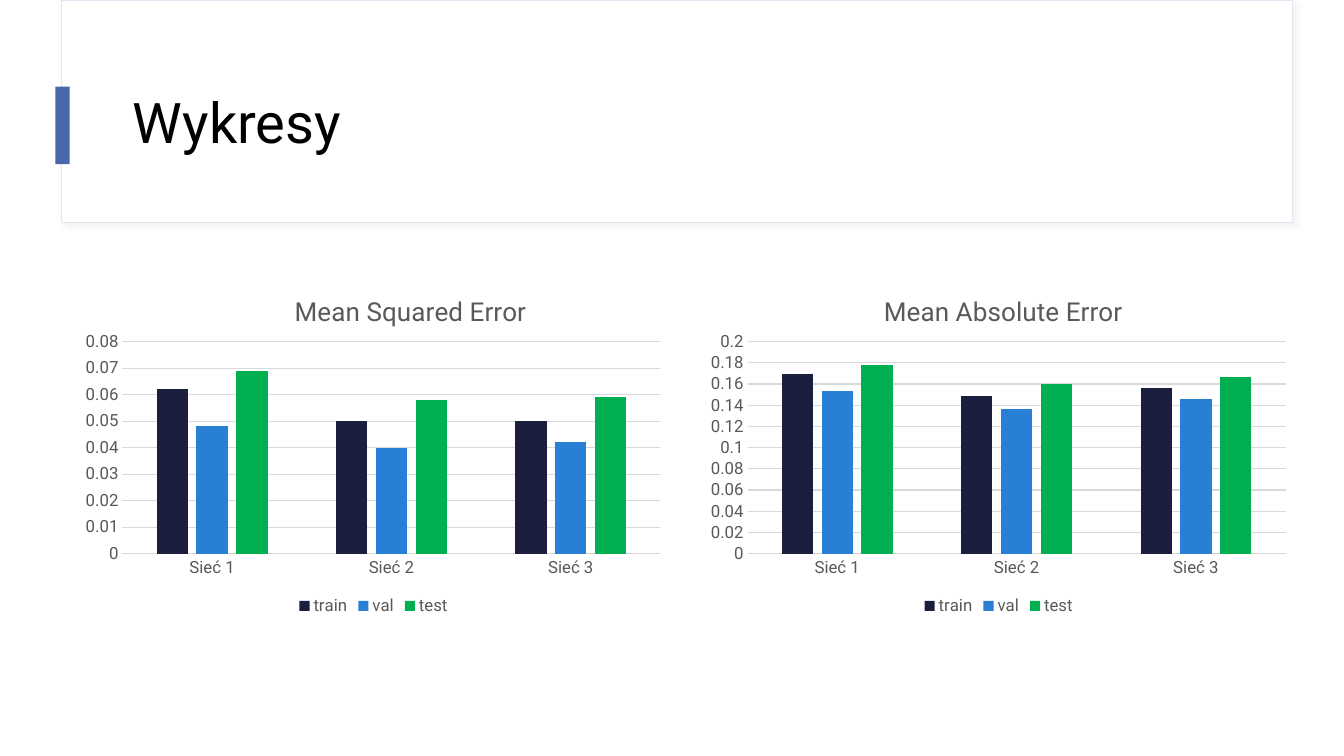
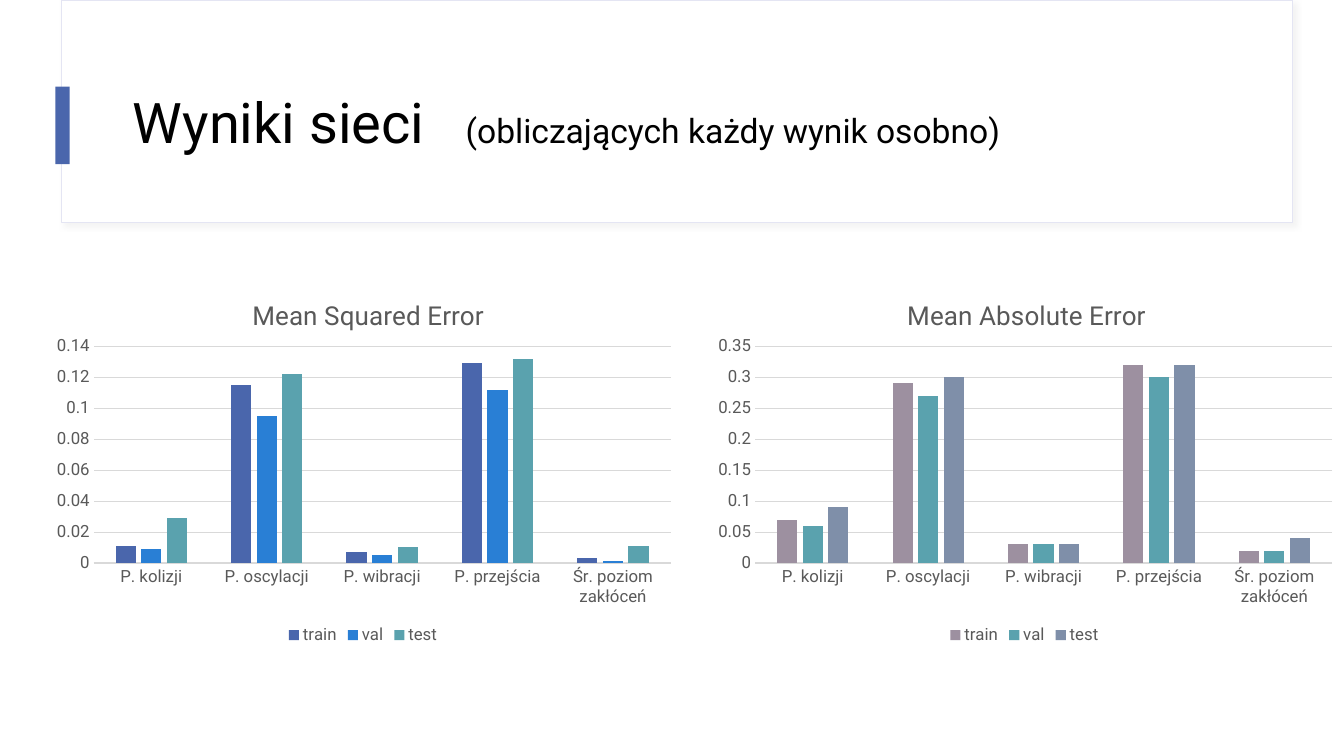
"""Build two slides comparing neural network errors in paired column charts."""
from dataclasses import dataclass

import lxml.etree
import pptx
import pptx.chart.data
import pptx.dml.color
import pptx.enum.chart
import pptx.enum.shapes
import pptx.enum.text
import pptx.oxml
import pptx.oxml.ns
import pptx.util

Inches, Pt = pptx.util.Inches, pptx.util.Pt
qn = pptx.oxml.ns.qn


@dataclass(frozen=True)
class Theme:
    font: str = "Roboto"
    title_size: int = 40
    subtitle_size: int = 24
    chart_title_size: float = 18.6
    label_size: int = 12
    hairline: float = 0.75
    black: str = "000000"
    white: str = "FFFFFF"
    grey: str = "595959"
    grid: str = "D9D9D9"
    frame: str = "E4E5F3"
    indigo: str = "4A66AC"
    navy: str = "1B1E3E"
    blue: str = "297FD5"
    green: str = "00B050"
    teal: str = "5AA2AE"
    mauve: str = "9D90A0"
    slate: str = "7F8FA9"


T = Theme()
WIDTH, HEIGHT = 13.33, 7.5
FRAME = (0.61, 0, 12.21, 2.21)
ACCENT = (0.55, 0.86, 0.14, 0.77)
TITLE = (1.22, 0.6, 11.12, 1.29)
SUBTITLE_TAB = 3.3
SERIES = ("train", "val", "test")
NETWORKS = ("Sieć 1", "Sieć 2", "Sieć 3")
MEASURES = ("P. kolizji", "P. oscylacji", "P. wibracji", "P. przejścia", "Śr. poziom zakłóceń")

SLIDES = [
    {
        "title": "Wykresy",
        "subtitle": "",
        "categories": NETWORKS,
        "left": 0.74, "step": 6.2, "top": 2.7, "size": (5.93, 3.45),
        "plot": (0.08, 0.2, 0.9, 0.61),
        "charts": [
            {
                "title": "Mean Squared Error", "title_at": (0.36, 0.05),
                "axis": (0.08, 0.01),
                "colors": (T.navy, T.blue, T.green),
                "values": [(0.062, 0.05, 0.05), (0.048, 0.04, 0.042), (0.069, 0.058, 0.059)],
            },
            {
                "title": "Mean Absolute Error", "title_at": (0.3, 0.05),
                "axis": (0.2, 0.02),
                "colors": (T.navy, T.blue, T.green),
                "values": [(0.169, 0.149, 0.156), (0.153, 0.136, 0.146), (0.178, 0.16, 0.167)],
            },
        ],
    },
    {
        "title": "Wyniki sieci",
        "subtitle": "(obliczających każdy wynik osobno)",
        "categories": MEASURES,
        "left": 0.42, "step": 6.56, "top": 2.73, "size": (6.36, 3.71),
        "plot": (0.08, 0.19, 0.9, 0.58),
        "charts": [
            {
                "title": "Mean Squared Error", "title_at": (0.32, 0.05),
                "axis": (0.14, 0.02),
                "colors": (T.indigo, T.blue, T.teal),
                "values": [
                    (0.011, 0.115, 0.007, 0.129, 0.003),
                    (0.009, 0.095, 0.005, 0.112, 0.001),
                    (0.029, 0.122, 0.01, 0.132, 0.011),
                ],
            },
            {
                "title": "Mean Absolute Error", "title_at": (0.31, 0.05),
                "axis": (0.35, 0.05),
                "colors": (T.mauve, T.teal, T.slate),
                "values": [
                    (0.07, 0.29, 0.03, 0.32, 0.02),
                    (0.06, 0.27, 0.03, 0.3, 0.02),
                    (0.09, 0.3, 0.03, 0.32, 0.04),
                ],
            },
        ],
    },
]


def rgb(color):
    return pptx.dml.color.RGBColor.from_string(color)


def inches(box):
    return [Inches(v) for v in box]


def style_font(font, size, color):
    font.name, font.size, font.bold = T.font, Pt(size), False
    font.color.rgb = rgb(color)


def style_line(line, color):
    line.color.rgb = rgb(color)
    line.width = Pt(T.hairline)


def add_box(s, box, fill, line=None):
    sp = s.shapes.add_shape(pptx.enum.shapes.MSO_SHAPE.RECTANGLE, *inches(box))
    sp.shadow.inherit = False
    sp.fill.solid()
    sp.fill.fore_color.rgb = rgb(fill)
    if line:
        style_line(sp.line, line)
    else:
        sp.line.fill.background()
    return sp


def add_shadow(sp):
    effects = sp.element.spPr.find(qn("a:effectLst"))
    shadow = lxml.etree.SubElement(
        effects, qn("a:outerShdw"), blurRad=str(Pt(4)), dist=str(Pt(3)),
        dir=str(45 * 60000), algn="tl", rotWithShape="0")
    color = lxml.etree.SubElement(shadow, qn("a:srgbClr"), val=T.grid)
    lxml.etree.SubElement(color, qn("a:alpha"), val="30000")


def add_run(p, text, size):
    r = p.add_run()
    r.text = text
    style_font(r.font, size, T.black)


def add_header(s, title, subtitle):
    add_shadow(add_box(s, FRAME, T.white, T.frame))
    add_box(s, ACCENT, T.indigo)
    tf = s.shapes.add_textbox(*inches(TITLE)).text_frame
    tf.word_wrap = True
    tf.vertical_anchor = pptx.enum.text.MSO_ANCHOR.MIDDLE
    p = tf.paragraphs[0]
    p.line_spacing = 0.9
    add_run(p, title, T.title_size)
    if subtitle:
        tabs = lxml.etree.SubElement(p._p.get_or_add_pPr(), qn("a:tabLst"))
        lxml.etree.SubElement(tabs, qn("a:tab"), pos=str(Inches(SUBTITLE_TAB)), algn="l")
        add_run(p, "\t" + subtitle, T.subtitle_size)


def set_layout(parent, before, shares, inner=False):
    for old in parent.findall(qn("c:layout")):
        parent.remove(old)
    layout = parent.makeelement(qn("c:layout"))
    manual = lxml.etree.SubElement(layout, qn("c:manualLayout"))
    if inner:
        lxml.etree.SubElement(manual, qn("c:layoutTarget"), val="inner")
    for key in ("xMode", "yMode"):
        lxml.etree.SubElement(manual, qn("c:" + key), val="edge")
    for key, share in zip("xywh", shares):
        lxml.etree.SubElement(manual, qn("c:" + key), val=str(share))
    parent.insert(before, layout)


def style_axes(chart, maximum, unit):
    category, value = chart.category_axis, chart.value_axis
    for axis in (category, value):
        axis.major_tick_mark = axis.minor_tick_mark = pptx.enum.chart.XL_TICK_MARK.NONE
        style_font(axis.tick_labels.font, T.label_size, T.grey)
    style_line(category.format.line, T.grid)
    value.format.line.fill.background()
    value.minimum_scale, value.maximum_scale, value.major_unit = 0, maximum, unit
    value.tick_labels.number_format = "General"
    value.tick_labels.number_format_is_linked = False
    value.has_major_gridlines = True
    style_line(value.major_gridlines.format.line, T.grid)


def add_error_chart(s, box, categories, plot_shares, item):
    data = pptx.chart.data.CategoryChartData()
    data.categories = categories
    for name, values in zip(SERIES, item["values"]):
        data.add_series(name, values)
    kind = pptx.enum.chart.XL_CHART_TYPE.COLUMN_CLUSTERED
    chart = s.shapes.add_chart(kind, *inches(box), data).chart
    style_font(chart.font, T.label_size, T.grey)

    chart.has_title = True
    p = chart.chart_title.text_frame.paragraphs[0]
    r = p.add_run()
    r.text = item["title"]
    style_font(r.font, T.chart_title_size, T.grey)
    chart.chart_title.include_in_layout = False
    set_layout(chart.chart_title._element, 1, item["title_at"])

    style_axes(chart, *item["axis"])
    chart.has_legend = True
    chart.legend.position = pptx.enum.chart.XL_LEGEND_POSITION.BOTTOM
    chart.legend.include_in_layout = False
    style_font(chart.legend.font, T.label_size, T.grey)

    plot = chart.plots[0]
    plot.gap_width, plot.overlap, plot.vary_by_categories = 219, -27, False
    for series, color in zip(plot.series, item["colors"]):
        series.format.fill.solid()
        series.format.fill.fore_color.rgb = rgb(color)
    set_layout(plot._element.getparent(), 0, plot_shares, inner=True)


def main():
    prs = pptx.Presentation()
    prs.slide_width, prs.slide_height = Inches(WIDTH), Inches(HEIGHT)
    for page in SLIDES:
        s = prs.slides.add_slide(prs.slide_layouts[6])
        add_header(s, page["title"], page["subtitle"])
        for i, item in enumerate(page["charts"]):
            box = (page["left"] + i * page["step"], page["top"], *page["size"])
            add_error_chart(s, box, page["categories"], page["plot"], item)
    prs.save("out.pptx")


if __name__ == "__main__":
    main()
